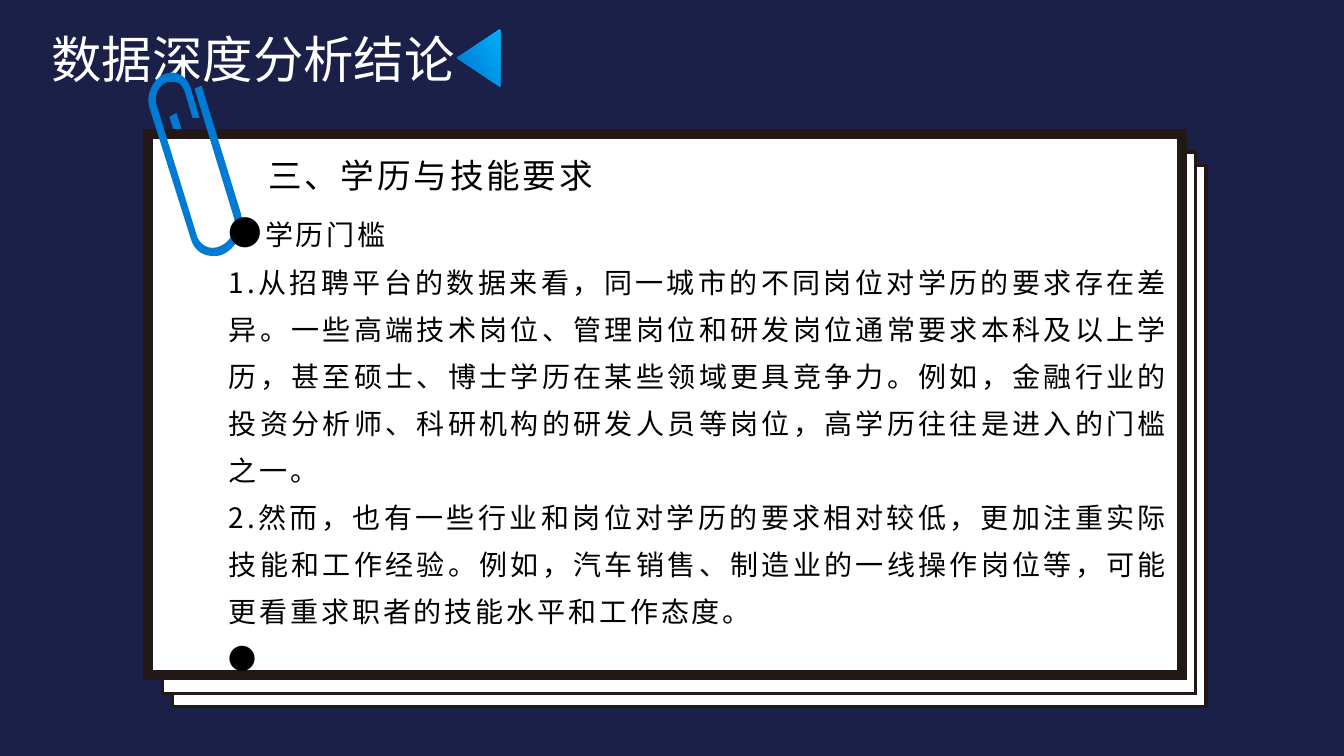
from lxml import etree
from pptx import Presentation
from pptx import util as u
from pptx.dml import color
from pptx.enum import shapes, text
from pptx.oxml import ns


class Theme:
    font = "Noto Sans CJK SC"
    navy = color.RGBColor(0x1B, 0x20, 0x49)
    white = color.RGBColor(0xFF, 0xFF, 0xFF)
    black = color.RGBColor(0, 0, 0)
    frame = color.RGBColor(0x23, 0x18, 0x15)
    clip = color.RGBColor(0x00, 0x7B, 0xD4)
    arrow = (color.RGBColor(0x00, 0x73, 0xD3), color.RGBColor(0x00, 0xB0, 0xF6))
    title_size, heading_size, body_size = 36, 24, 20
    title_line, heading_line, body_line = u.Pt(43.4), u.Pt(40.3), u.Pt(33.6)


def add_run(paragraph, words, size, colour, spacing=0):
    run = paragraph.add_run()
    run.text = words
    for name, value in {"name": Theme.font, "size": u.Pt(size), "bold": False}.items():
        setattr(run.font, name, value)
    run.font.color.rgb = colour
    properties = run.font._element
    properties.set("spc", str(spacing * 100))
    etree.SubElement(properties, ns.qn("a:ea"), typeface=Theme.font)


def trace(outline, steps=10):
    """Turn points and cubic curves (three points each) into vertices."""
    vertices = [outline[0]]
    for part in outline[1:]:
        if len(part) == 2:
            vertices.append(part)
            continue
        knots = (vertices[-1], *part)
        for step in range(1, steps + 1):
            t = step / steps
            weights = ((1 - t) ** 3, 3 * t * (1 - t) ** 2, 3 * t * t * (1 - t), t ** 3)
            vertices.append(tuple(sum(w * k[axis] for w, k in zip(weights, knots))
                                  for axis in (0, 1)))
    return [(x * 1000, y * 1000) for x, y in vertices]


presentation = Presentation()
presentation.slide_width = u.Inches(13.33)
presentation.slide_height = u.Inches(7.5)
slide = presentation.slides.add_slide(presentation.slide_layouts[5])
slide.background.fill.solid()
slide.background.fill.fore_color.rgb = Theme.navy

# Title
title = slide.shapes.title
title.left, title.top = u.Inches(0.41), u.Inches(0.23)
title.width, title.height = u.Inches(8.83), u.Inches(1.5)
title_format = {"word_wrap": True, "auto_size": text.MSO_AUTO_SIZE.NONE,
                "vertical_anchor": text.MSO_ANCHOR.TOP}
for name, value in title_format.items():
    setattr(title.text_frame, name, value)
headline = title.text_frame.paragraphs[0]
headline.alignment = text.PP_ALIGN.LEFT
headline.line_spacing = Theme.title_line
add_run(headline, "数据深度分析结论", Theme.title_size, Theme.white)

# Arrow beside the title
arrow = slide.shapes.add_shape(shapes.MSO_SHAPE.ISOSCELES_TRIANGLE, u.Inches(4.46),
                               u.Inches(0.36), u.Inches(0.57), u.Inches(0.43))
arrow.rotation = 270
arrow.shadow.inherit = False
arrow.line.fill.background()
arrow.fill.gradient()
arrow.fill.gradient_angle = 300
for stop, position, colour in zip(arrow.fill.gradient_stops, (0, 1), Theme.arrow):
    stop.position = position
    stop.color.rgb = colour

# Stack of framed sheets, back to front
for left, top, border in ((1.71, 1.64, 2.5), (1.61, 1.51, 2.5), (1.47, 1.33, 7)):
    sheet = slide.shapes.add_shape(shapes.MSO_SHAPE.RECTANGLE, u.Inches(left),
                                   u.Inches(top), u.Inches(10.25), u.Inches(5.37))
    sheet.shadow.inherit = False
    sheet.fill.solid()
    sheet.fill.fore_color.rgb = Theme.white
    sheet.line.color.rgb = Theme.frame
    sheet.line.width = u.Pt(border)
    etree.SubElement(sheet._element.spPr.find(ns.qn("a:ln")), ns.qn("a:miter"), lim="800000")

# Paper clip: inner end, then the bent wire
clip_end = [(1.72, 1.28), (1.68, 1.16), (1.75, 1.12), (1.8, 1.28)]
clip_wire = [
    (2.11, 2.54), ((2.01, 2.54), (1.92, 2.48), (1.89, 2.36)),
    (1.48, 1.06), ((1.45, 0.94), (1.51, 0.8), (1.62, 0.74)),
    ((1.67, 0.72), (1.73, 0.71), (1.78, 0.74)), ((1.83, 0.76), (1.87, 0.81), (1.89, 0.87)),
    (1.98, 1.17), (1.91, 1.17), (1.83, 0.9),
    ((1.81, 0.86), (1.79, 0.83), (1.76, 0.82)), ((1.72, 0.81), (1.68, 0.81), (1.64, 0.82)),
    ((1.57, 0.86), (1.53, 0.95), (1.55, 1.03)),
    (1.95, 2.33), ((1.98, 2.44), (2.09, 2.49), (2.19, 2.44)),
    ((2.3, 2.39), (2.35, 2.26), (2.32, 2.16)),
    (1.93, 0.88), (2, 0.85), (2.39, 2.12),
    ((2.43, 2.27), (2.36, 2.45), (2.22, 2.52)), ((2.18, 2.54), (2.15, 2.54), (2.11, 2.54)),
]
for outline in (clip_end, clip_wire):
    start, *others = trace(outline)
    builder = slide.shapes.build_freeform(*start, scale=u.Inches(1) / 1000)
    builder.add_line_segments(others, close=True)
    clip = builder.convert_to_shape()
    clip.shadow.inherit = False
    clip.fill.solid()
    clip.fill.fore_color.rgb = Theme.clip
    clip.line.fill.background()

# Findings on the front sheet: line height, first-line indent, runs
large, normal = Theme.heading_size, Theme.body_size
findings = [
    (Theme.heading_line, 0.39, [("三、学历与技能要求", large)]),
    (Theme.heading_line, 0, [("●", large), ("学历门槛", normal)]),
    (Theme.body_line, 0, [(
        "1.从招聘平台的数据来看，同一城市的不同岗位对学历的要求存在差异。"
        "一些高端技术岗位、管理岗位和研发岗位通常要求本科及以上学历，"
        "甚至硕士、博士学历在某些领域更具竞争力。例如，金融行业的投资分析师、"
        "科研机构的研发人员等岗位，高学历往往是进入的门槛之一。", normal)]),
    (Theme.body_line, 0, [(
        "2.然而，也有一些行业和岗位对学历的要求相对较低，更加注重实际技能和工作经验。"
        "例如，汽车销售、制造业的一线操作岗位等，可能更看重求职者的技能水平和工作态度。",
        normal)]),
    (Theme.body_line, 0, [("●", normal)]),
]
body = slide.shapes.add_textbox(u.Inches(2.17), u.Inches(1.33),
                                u.Inches(9.52), u.Inches(5.2)).text_frame
body.word_wrap = True
for number, (line_height, indent, runs) in enumerate(findings):
    paragraph = body.add_paragraph() if number else body.paragraphs[0]
    paragraph.alignment = text.PP_ALIGN.JUSTIFY
    paragraph.line_spacing = line_height
    paragraph._p.get_or_add_pPr().set("indent", str(u.Inches(indent)))
    for words, size in runs:
        add_run(paragraph, words, size, Theme.black, spacing=2)

presentation.save("out.pptx")
